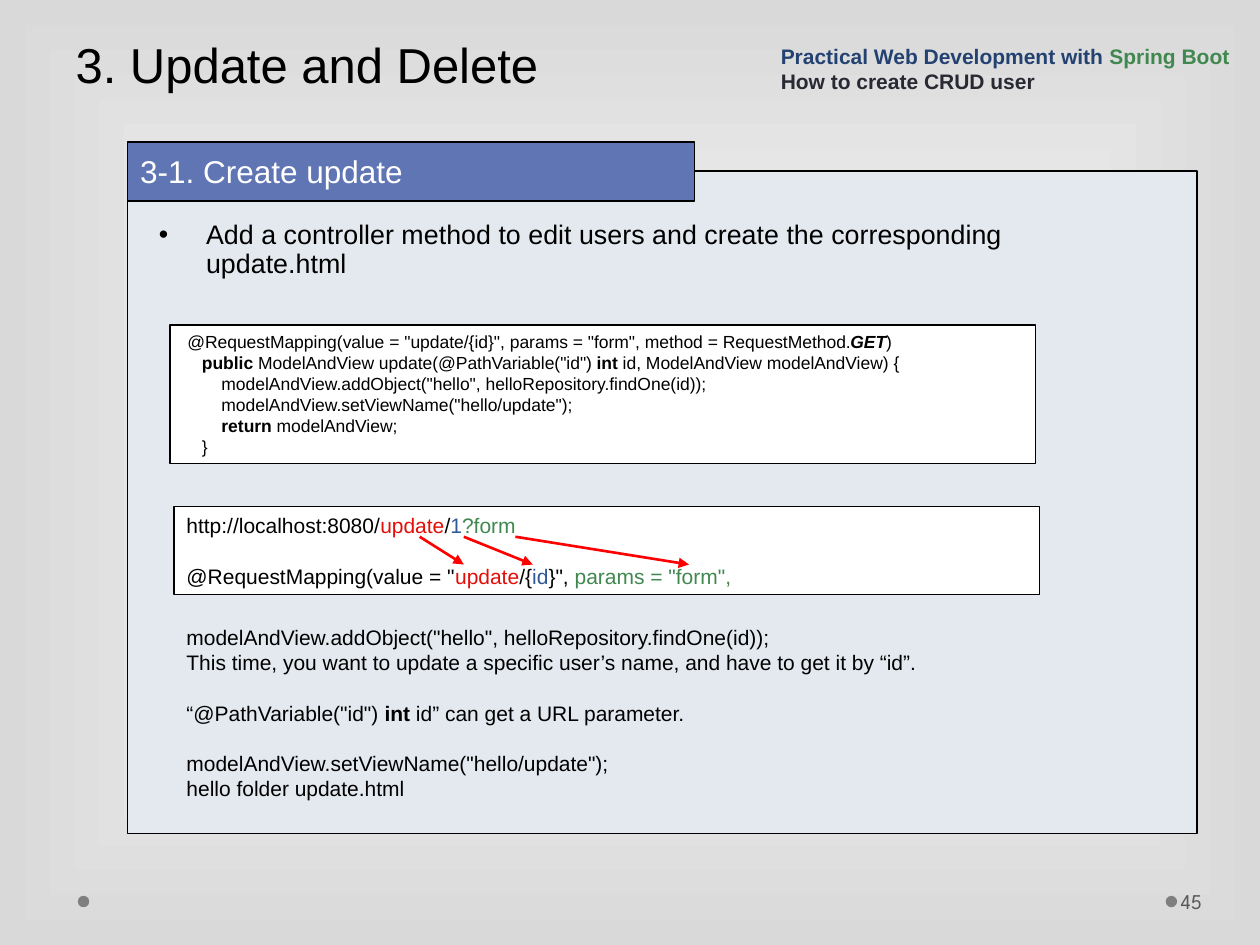
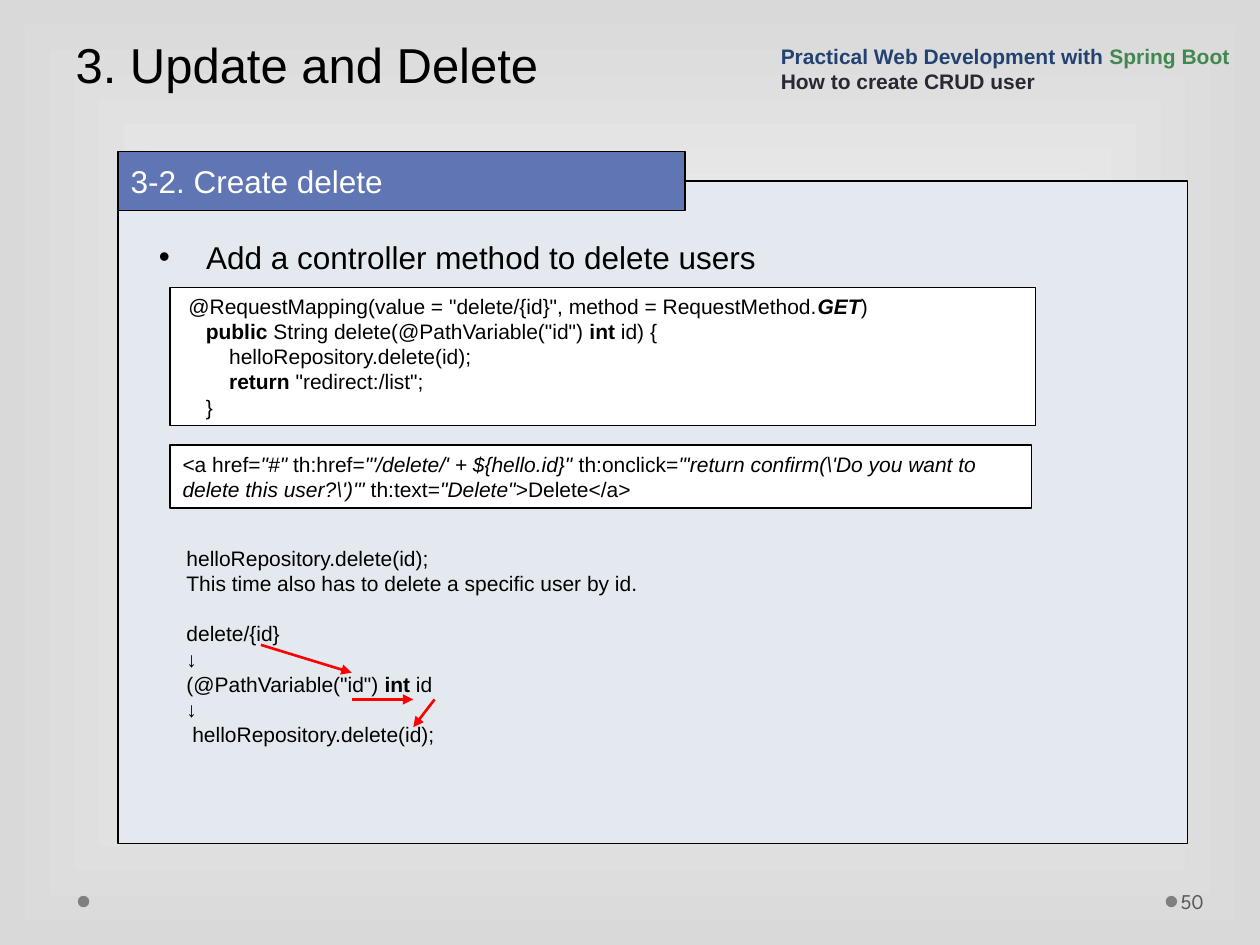
from lxml import etree
from pptx import Presentation
from pptx.dml.color import RGBColor
from pptx.enum.shapes import MSO_CONNECTOR, MSO_SHAPE
from pptx.enum.text import MSO_ANCHOR, MSO_AUTO_SIZE, PP_ALIGN
from pptx.oxml.ns import qn
from pptx.util import Cm, Pt

RECTANGLE, OVAL = MSO_SHAPE.RECTANGLE, MSO_SHAPE.OVAL
STRAIGHT = MSO_CONNECTOR.STRAIGHT
TOP, MIDDLE, BOTTOM = MSO_ANCHOR.TOP, MSO_ANCHOR.MIDDLE, MSO_ANCHOR.BOTTOM
LEFT, NO_FIT = PP_ALIGN.LEFT, MSO_AUTO_SIZE.NONE

BLACK = RGBColor(0x00, 0x00, 0x00)
WHITE = RGBColor(0xFF, 0xFF, 0xFF)
EDGE_GRAY = RGBColor(0xD9, 0xD9, 0xD9)
DOT_GRAY = RGBColor(0x7F, 0x7F, 0x7F)
PAGE_GRAY = RGBColor(0x59, 0x59, 0x59)
PANEL_BLUE = RGBColor(0xE4, 0xE9, 0xEF)
TAB_BLUE = RGBColor(0x60, 0x76, 0xB4)
NAVY = RGBColor(0x23, 0x42, 0x71)
INK = RGBColor(0x29, 0x29, 0x34)
GREEN = RGBColor(0x40, 0x88, 0x4F)
RED = RGBColor(0xE4, 0x0D, 0x08)
BLUE = RGBColor(0x2F, 0x58, 0x97)
ARROW_RED = RGBColor(0xFF, 0x00, 0x00)

FONT, PAGE_FONT = "Arial", "League Spartan"
SPACE_WIDTH = 0.278  # width of a space, as a share of the text size
LINE_PITCH = 1.2     # line height, as a share of the text size
TWO_CONTENT = 3      # layout with a title and two body placeholders


# --- Text ---
def add_span(para, text, size=12, color=BLACK, bold=False, italic=False, font=FONT):
    span = para.add_run()
    span.text = text
    span.font.name, span.font.size = font, Pt(size)
    span.font.color.rgb = color
    span.font.bold, span.font.italic = bold, italic


def bold(text):
    return text, {"bold": True}


def italic(text):
    return text, {"italic": True}


def tint(text, color):
    return text, {"color": color}


def line(*spans, indent=0, gap=False):
    """A line of spans, indented by some spaces, with a gap of one line above."""
    return spans, indent, gap


def set_indent(para, margin, hanging=0, bullet=None):
    properties = para._p.get_or_add_pPr()
    properties.set("marL", str(int(margin)))
    properties.set("indent", str(-int(hanging)))
    if bullet:
        color = etree.SubElement(properties, qn("a:buClr"))
        etree.SubElement(color, qn("a:srgbClr")).set("val", str(BLACK))
        etree.SubElement(properties, qn("a:buChar")).set("char", bullet)
    else:
        etree.SubElement(properties, qn("a:buNone"))


def write_lines(box, lines, size=12, anchor=TOP, **style):
    frame = box.text_frame
    frame.word_wrap = True
    frame.vertical_anchor = anchor
    for number, (spans, indent, gap) in enumerate(lines):
        para = frame.add_paragraph() if number else frame.paragraphs[0]
        para.alignment = LEFT
        para.line_spacing = Pt(size * LINE_PITCH)
        para.space_before = Pt(size * LINE_PITCH if gap else 0)
        set_indent(para, Pt(indent * size * SPACE_WIDTH))
        for span in spans:
            text, extra = (span, {}) if isinstance(span, str) else span
            add_span(para, text, **{"size": size, **style, **extra})


# --- Elements ---
def place(box, left, top, width, height):
    box.left, box.top, box.width, box.height = map(Cm, (left, top, width, height))


def add_block(slide, kind, area, fill, outlined=True):
    shape = slide.shapes.add_shape(kind, *map(Cm, area))
    shape.shadow.inherit = False
    shape.fill.solid()
    shape.fill.fore_color.rgb = fill
    if outlined:
        shape.line.color.rgb, shape.line.width = BLACK, Pt(0.75)
    else:
        shape.line.fill.background()
    return shape


def add_code(slide, area, lines, size=12):
    write_lines(add_block(slide, RECTANGLE, area, WHITE), lines, size)


def add_note(slide, area, lines, **style):
    box = slide.shapes.add_textbox(*map(Cm, area))
    write_lines(box, lines, **style)
    return box


def add_arrow(slide, start, end):
    arrow = slide.shapes.add_connector(STRAIGHT, *map(Cm, start + end))
    arrow.line.color.rgb, arrow.line.width = ARROW_RED, Pt(1.5)
    etree.SubElement(arrow.line._get_or_add_ln(), qn("a:tailEnd")).set("type", "triangle")
    etree.SubElement(arrow.element.spPr, qn("a:effectLst"))


def fill_placeholder(box, area, text, anchor=TOP, spacing=1.0, before=4.5,
                     hanging=0, bullet=None, **style):
    box.element.getparent().append(box.element)  # bring in front of the panel
    place(box, *area)
    frame = box.text_frame
    frame.auto_size, frame.vertical_anchor, frame.word_wrap = NO_FIT, anchor, True
    para = frame.paragraphs[0]
    para.alignment, para.line_spacing, para.space_before = LEFT, spacing, Pt(before)
    set_indent(para, hanging, hanging, bullet)
    add_span(para, text, **style)


# --- Shared parts ---
def set_background(master):
    fill = master.background.fill
    fill.gradient()
    for stop, color in zip(fill.gradient_stops, (WHITE, EDGE_GRAY)):
        stop.color.rgb = color
    fill.gradient_stops[0].position, fill.gradient_stops[1].position = 0, 1
    gradient = master.element.find(".//" + qn("a:gradFill"))
    for linear in gradient.findall(qn("a:lin")):
        gradient.remove(linear)
    shading = etree.SubElement(gradient, qn("a:path"))
    shading.set("path", "rect")
    center = etree.SubElement(shading, qn("a:fillToRect"))
    for side in "ltrb":
        center.set(side, "50000")


def add_section_slide(deck, page, heading, panel_left, panel_top, bullet_area,
                      bullet_text, bullet_size, bullet_spacing=1.0):
    slide = deck.slides.add_slide(deck.slide_layouts[TWO_CONTENT])
    title, tab, bullet_list = slide.placeholders

    # Footer dots, page number and panel
    for left in (1.57, 23.5):
        add_block(slide, OVAL, (left, 18.06, 0.23, 0.23), DOT_GRAY, outlined=False)
    add_block(slide, RECTANGLE, (panel_left, panel_top, 21.56, 13.36), PANEL_BLUE)
    number = add_note(slide, (23.72, 17.65, 1.55, 1.02), [line(page)],
                      anchor=MIDDLE, color=PAGE_GRAY, font=PAGE_FONT)
    number.text_frame.margin_left = Cm(0.08)

    # Title, section tab and course name
    fill_placeholder(title, (1.27, 0, 22.86, 2.01), "3. Update and Delete",
                     anchor=BOTTOM, spacing=Pt(58), before=0, size=28)
    fill_placeholder(tab, (panel_left, panel_top - 0.59, 11.43, 1.19), heading,
                     spacing=1.1, size=18, color=WHITE)
    tab.fill.solid()
    tab.fill.fore_color.rgb = TAB_BLUE
    tab.line.color.rgb, tab.line.width = BLACK, Pt(0.75)
    add_note(slide, (15.49, 0.61, 9.91, 1.4), [
        line("Practical Web Development with ", tint("Spring Boot", GREEN)),
        line(tint("How to create CRUD user", INK)),
    ], anchor=BOTTOM, color=NAVY, bold=True)

    # Bullet
    fill_placeholder(bullet_list, bullet_area, bullet_text, spacing=bullet_spacing,
                     hanging=Cm(0.95), bullet="•", size=bullet_size)
    return slide


# --- Slides ---
def add_update_slide(deck):
    slide = add_section_slide(
        deck, "45", "3-1. Create update", 2.57, 3.45, (2.95, 4.34, 18.77, 1.65),
        "Add a controller method to edit users and create the corresponding update.html",
        15.3, 0.9)
    add_code(slide, (3.43, 6.55, 17.45, 2.79), [
        line('@RequestMapping(value = "update/{id}", params = "form", method = RequestMethod.',
             ("GET", {"bold": True, "italic": True}), ")", indent=1),
        line(bold("public"), ' ModelAndView update(@PathVariable("id") ', bold("int"),
             " id, ModelAndView modelAndView) {", indent=4),
        line('modelAndView.addObject("hello", helloRepository.findOne(id));', indent=8),
        line('modelAndView.setViewName("hello/update");', indent=8),
        line(bold("return"), " modelAndView;", indent=8),
        line("}", indent=4),
    ], size=10)
    add_code(slide, (3.51, 10.21, 17.45, 1.78), [
        line("http://localhost:8080/", tint("update", RED), "/", tint("1", BLUE),
             tint("?form", GREEN)),
        line('@RequestMapping(value = "', tint("update", RED), "/{", tint("id", BLUE),
             '}", ', tint('params = "form",', GREEN), gap=True),
    ])
    for start, end in ((8.46, 9.35), (9.35, 10.74), (10.39, 13.89)):
        add_arrow(slide, (start, 10.82), (end, 11.38))
    add_note(slide, (3.51, 12.47, 17.45, 3.81), [
        line('modelAndView.addObject("hello", helloRepository.findOne(id));'),
        line("This time, you want to update a specific user’s name, "
             "and have to get it by “id”."),
        line('“@PathVariable("id") ', bold("int"), " id” can get a URL parameter.", gap=True),
        line('modelAndView.setViewName("hello/update");', gap=True),
        line("hello folder update.html"),
    ])


def add_delete_slide(deck):
    slide = add_section_slide(
        deck, "50", "3-2. Create delete", 2.38, 3.65, (2.95, 4.67, 18.77, 1.12),
        "Add a controller method to delete users", 18)
    add_code(slide, (3.43, 5.79, 17.45, 2.79), [
        line('@RequestMapping(value = "delete/{id}", method = RequestMethod.',
             ("GET", {"bold": True, "italic": True}), ")", indent=1),
        line(bold("public"), ' String delete(@PathVariable("id") ', bold("int"),
             " id) {", indent=4),
        line("helloRepository.delete(id);", indent=8),
        line(bold("return"), ' "redirect:/list";', indent=8),
        line("}", indent=4),
    ])
    add_code(slide, (3.43, 8.97, 17.37, 1.27), [
        line("<a href=", italic('"#"'), " th:href=", italic('"\'/delete/\' + ${hello.id}"'),
             " th:onclick=",
             italic(r'''"'return confirm(\'Do you want to delete this user?\')'"'''),
             " th:text=", italic('"Delete"'), ">Delete</a>"),
    ])
    add_note(slide, (3.51, 10.87, 17.45, 4.83), [
        line("helloRepository.delete(id);"),
        line("This time also has to delete a specific user by id."),
        line("delete/{id}", gap=True),
        line("↓"),
        line('(@PathVariable("id") ', bold("int"), " id"),
        line("↓"),
        line("helloRepository.delete(id);", indent=1),
    ])
    add_arrow(slide, (5.26, 13), (7.09, 13.56))
    add_arrow(slide, (7.09, 14.1), (8.33, 14.1))
    add_arrow(slide, (8.76, 14.1), (8.33, 14.66))


def main():
    deck = Presentation()
    deck.slide_width, deck.slide_height = Cm(25.4), Cm(19.05)
    set_background(deck.slide_master)
    add_update_slide(deck)
    add_delete_slide(deck)
    deck.save("out.pptx")


if __name__ == "__main__":
    main()
